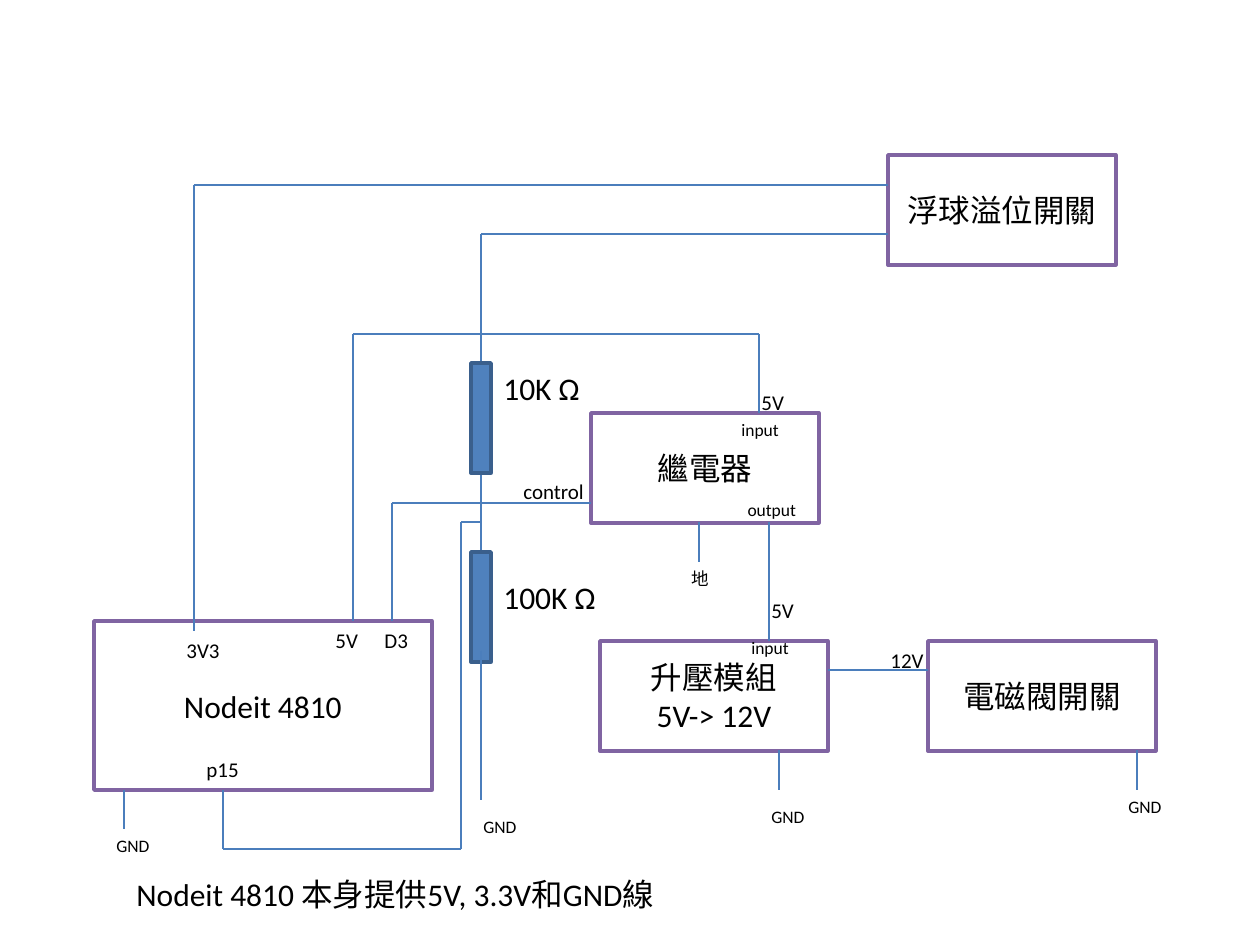
from dataclasses import dataclass
from itertools import pairwise

import lxml.etree
import pptx
import pptx.dml.color
import pptx.enum.shapes
import pptx.enum.text
import pptx.oxml.ns
import pptx.util

EMU_PER_PIXEL = 914400 / 126


@dataclass(frozen=True)
class Theme:
    """Colours, type sizes and line widths of the slide."""
    font: str = "Calibri"
    paper: str = "FFFFFF"
    ink: str = "000000"
    module_line: str = "8064A2"
    resistor_fill: str = "4F81BD"
    resistor_line: str = "3A5F8C"
    wire: str = "4B7EBC"
    title: int = 18
    pin: int = 12
    small: int = 10
    outline: float = 2
    wire_width: float = 0.75


@dataclass(frozen=True)
class Block:
    """A filled rectangle, measured in pixels."""
    left: int
    top: int
    width: int = 228
    height: int = 110
    lines: tuple[str, ...] = ()


@dataclass(frozen=True)
class Label:
    """A text with its place in pixels and its size in points."""
    left: int
    top: int
    width: int
    text: str
    size: int
    wrap: bool = True
    indent: int = 0


THEME = Theme()
LABEL_HEIGHTS = {THEME.title: 50, THEME.pin: 38, THEME.small: 34}

MODULES = (
    Block(94, 621, 338, 169, ("Nodeit 4810",)),
    Block(591, 413, lines=("繼電器",)),
    Block(600, 641, lines=("升壓模組", "5V-> 12V")),
    Block(928, 641, lines=("電磁閥開關",)),
    Block(888, 155, lines=("浮球溢位開關",)),
)
RESISTORS = (Block(471, 363, 20), Block(471, 552, 20))

WIRES = (
    ((353, 621), (353, 334), (759, 334), (759, 413)),
    ((769, 522), (769, 641)),
    ((828, 670), (928, 670)),
    ((1137, 750), (1137, 790)),
    ((779, 750), (779, 790)),
    ((194, 631), (194, 185), (888, 185)),
    ((888, 234), (481, 234), (481, 393)),
    ((124, 790), (124, 829)),
    ((481, 472), (481, 552)),
    ((481, 522), (461, 522), (461, 849), (223, 849), (223, 790)),
    ((699, 522), (699, 562)),
    ((392, 621), (392, 503), (591, 503)),
)
RESISTOR_GROUND = ((481, 651), (481, 800))

LABELS = (
    *(Label(left, top, 69, text, THEME.pin) for left, top, text in (
        (323, 621, "5V"), (372, 621, "D3"), (174, 631, "3V3"), (194, 750, "p15"),
        (878, 641, "12V"), (759, 591, "5V"), (749, 383, "5V"))),
    Label(511, 472, 99, "control", THEME.pin),
    Label(729, 413, 99, "input", THEME.small),
    Label(739, 631, 99, "input", THEME.small),
    Label(719, 493, 99, "output", THEME.small, indent=16),
    *(Label(left, top, 59, "GND", THEME.small, wrap=False) for left, top in (
        (1116, 790), (759, 800), (104, 829), (471, 810))),
    Label(679, 562, 43, "地", THEME.small, wrap=False),
    Label(491, 363, 179, "10K Ω", THEME.title),
    Label(491, 572, 179, "100K Ω", THEME.title),
    Label(124, 869, 615, "Nodeit 4810 本身提供5V, 3.3V和GND線", THEME.title),
)


def pixels(length: int) -> pptx.util.Emu:
    """Turn pixels into EMU."""
    return pptx.util.Emu(round(length * EMU_PER_PIXEL))


def colour(code: str) -> pptx.dml.color.RGBColor:
    """Turn a hex code into a colour."""
    return pptx.dml.color.RGBColor.from_string(code)


def style(paragraph, size: int) -> None:
    """Give a paragraph the font of the slide."""
    paragraph.font.name = THEME.font
    paragraph.font.size = pptx.util.Pt(size)
    paragraph.font.color.rgb = colour(THEME.ink)


def draw_block(page, block: Block, fill: str, line: str) -> None:
    """Draw a rectangle with its centred lines of text."""
    box = page.shapes.add_shape(
        pptx.enum.shapes.MSO_SHAPE.RECTANGLE,
        *map(pixels, (block.left, block.top, block.width, block.height)))
    box.shadow.inherit = False
    box.fill.solid()
    box.fill.fore_color.rgb = colour(fill)
    box.line.color.rgb = colour(line)
    box.line.width = pptx.util.Pt(THEME.outline)
    if block.lines:
        box.text_frame.text = "\n".join(block.lines)
        box.text_frame.vertical_anchor = pptx.enum.text.MSO_ANCHOR.MIDDLE
        for paragraph in box.text_frame.paragraphs:
            paragraph.alignment = pptx.enum.text.PP_ALIGN.CENTER
            style(paragraph, THEME.title)


def draw_wire(page, points: tuple[tuple[int, int], ...]) -> None:
    """Join successive points with straight connectors."""
    for start, end in pairwise(points):
        wire = page.shapes.add_connector(
            pptx.enum.shapes.MSO_CONNECTOR.STRAIGHT, *map(pixels, start + end))
        wire.line.color.rgb = colour(THEME.wire)
        wire.line.width = pptx.util.Pt(THEME.wire_width)
        lxml.etree.SubElement(
            wire._element.spPr, pptx.oxml.ns.qn("a:effectLst"))


def draw_label(page, label: Label) -> None:
    """Write a label in a text box."""
    box = page.shapes.add_textbox(*map(pixels, (
        label.left, label.top, label.width, LABEL_HEIGHTS[label.size])))
    frame = box.text_frame
    frame.word_wrap = label.wrap
    frame.auto_size = pptx.enum.text.MSO_AUTO_SIZE.SHAPE_TO_FIT_TEXT
    frame.margin_left += pixels(label.indent)
    frame.text = label.text
    style(frame.paragraphs[0], label.size)


def main() -> None:
    """Build the circuit slide and save it."""
    deck = pptx.Presentation()
    deck.slide_width = pptx.util.Inches(10)
    deck.slide_height = pptx.util.Inches(7.5)
    page = deck.slides.add_slide(deck.slide_layouts[6])
    for module in MODULES:
        draw_block(page, module, THEME.paper, THEME.module_line)
    for points in WIRES:
        draw_wire(page, points)
    for resistor in RESISTORS:
        draw_block(page, resistor, THEME.resistor_fill, THEME.resistor_line)
    draw_wire(page, RESISTOR_GROUND)
    for label in LABELS:
        draw_label(page, label)
    deck.save("out.pptx")


main()
